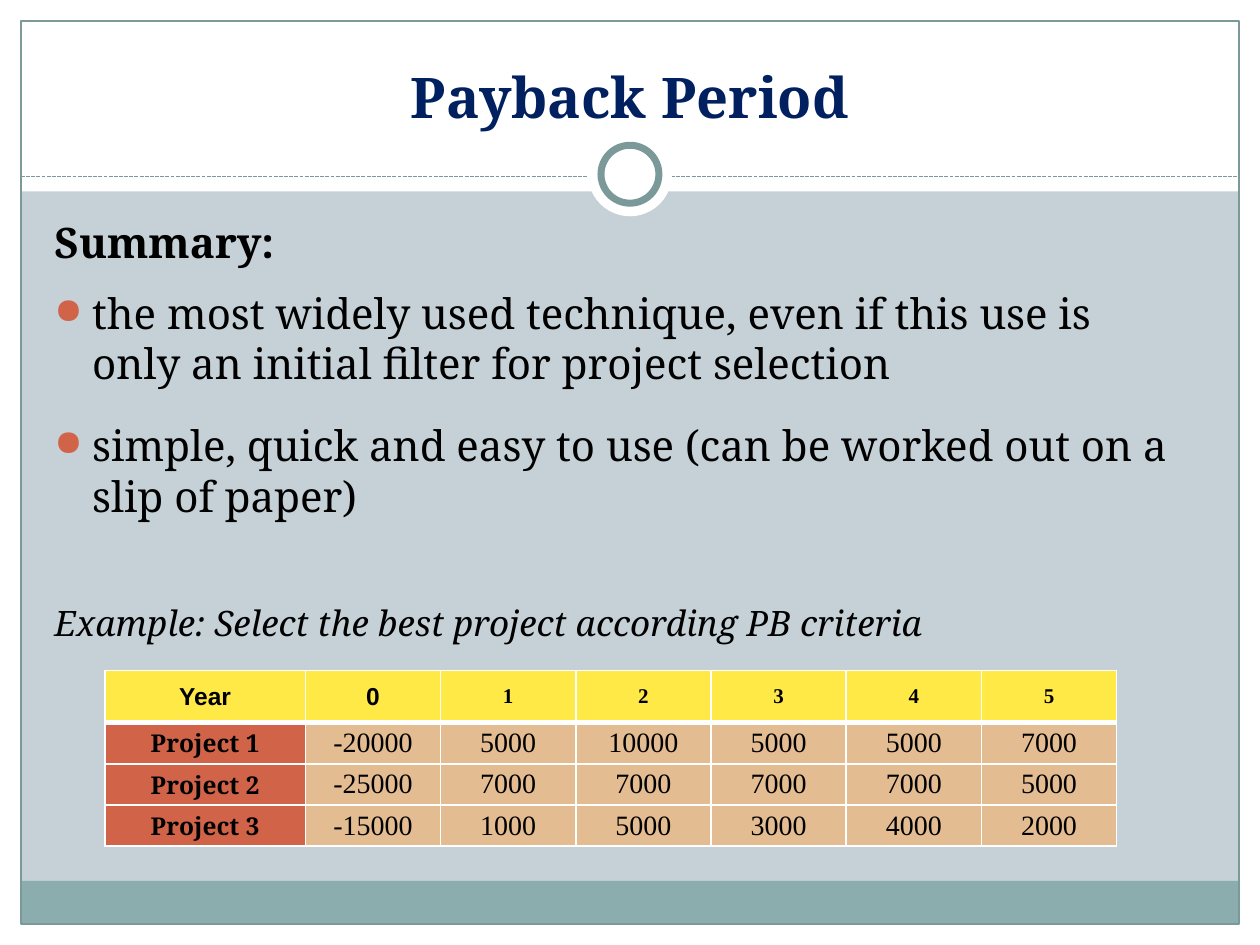
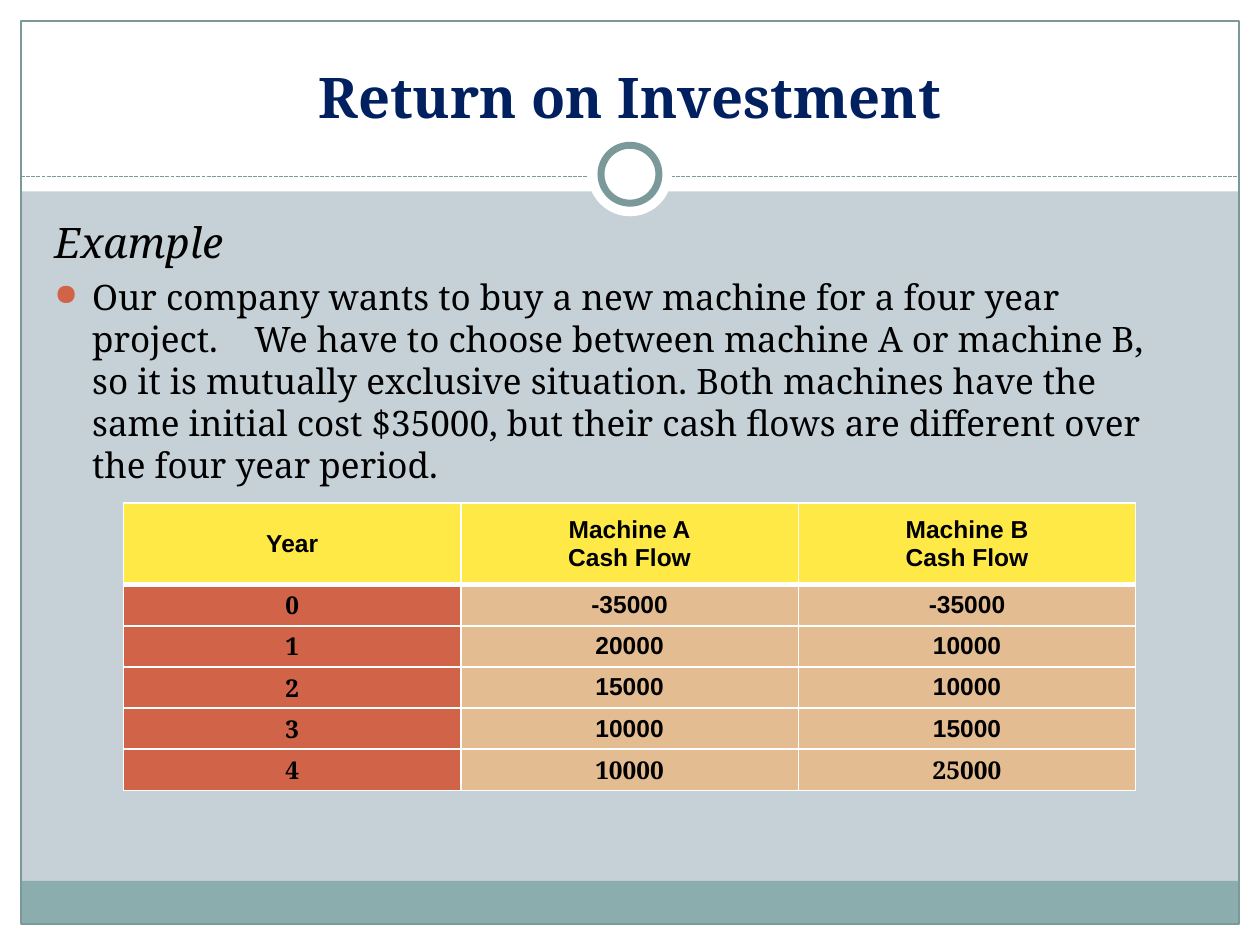
from lxml import etree
from pptx import Presentation
from pptx.dml.color import RGBColor
from pptx.enum.dml import MSO_LINE
from pptx.enum.shapes import MSO_CONNECTOR, MSO_SHAPE
from pptx.enum.text import MSO_ANCHOR, MSO_AUTO_SIZE, PP_ALIGN
from pptx.oxml.ns import qn
from pptx.util import Inches, Pt

RECT, OVAL = MSO_SHAPE.RECTANGLE, MSO_SHAPE.OVAL
STRAIGHT, DASH = MSO_CONNECTOR.STRAIGHT, MSO_LINE.SQUARE_DOT
CENTER, MIDDLE, BOTTOM = PP_ALIGN.CENTER, MSO_ANCHOR.MIDDLE, MSO_ANCHOR.BOTTOM
NO_FIT = MSO_AUTO_SIZE.NONE

COLORS = {
    "page": "C5D1D7", "white": "FFFFFF", "band": "8CADAE", "rule": "7C999A",
    "title": "002060", "text": "000000", "bullet": "D16349",
    "header": "FFE947", "label": "D16349", "value": "E3BC92",
}
SERIF, SANS, TIMES = "Noto Serif", "Arial", "Times New Roman"
COLS, ROWS = 60, 45
UNIT = Inches(10) // COLS
TITLE_BOX = (2, 1.5, 56, 5)
BODY_BOX = (2, 10, 55, 30)


def rgb(name):
    """Return the named palette colour."""
    return RGBColor.from_string(COLORS[name])


def grid(*cells):
    """Turn grid units into lengths."""
    return [int(c * UNIT) for c in cells]


def write(p, text, size=14, font=SERIF, color="text", bold=False, italic=False,
          align=None, before=0, after=0, leading=None, bullet=False):
    """Write formatted text into a paragraph."""
    r = p.add_run()
    r.text = text
    f = r.font
    f.size, f.name, f.bold, f.italic = Pt(size), font, bold, italic
    f.color.rgb = rgb(color)
    p.alignment = align
    p.space_before, p.space_after = Pt(before), Pt(after)
    if leading:
        p.line_spacing = Pt(size * leading)
    if bullet:
        add_bullet(p)


def add_bullet(p):
    """Give a paragraph a coloured round bullet with a hanging indent."""
    pPr = p._p.get_or_add_pPr()
    pPr.set("marL", str(Inches(0.3)))
    pPr.set("indent", str(-Inches(0.3)))
    clr = etree.SubElement(pPr, qn("a:buClr"))
    etree.SubElement(clr, qn("a:srgbClr"), val=COLORS["bullet"])
    etree.SubElement(pPr, qn("a:buSzPct"), val="85000")
    etree.SubElement(pPr, qn("a:buChar"), char="●")


def add_shape(slide, kind, box, fill=None, line=None, width=0.75):
    """Add a preset shape on the grid."""
    sp = slide.shapes.add_shape(kind, *grid(*box))
    sp.shadow.inherit = False
    if fill:
        sp.fill.solid()
        sp.fill.fore_color.rgb = rgb(fill)
    else:
        sp.fill.background()
    if line:
        sp.line.color.rgb = rgb(line)
        sp.line.width = Pt(width)
    else:
        sp.line.fill.background()
    return sp


def add_rule(slide, x1, x2, y):
    """Add the dashed rule under the title."""
    line = slide.shapes.add_connector(STRAIGHT, *grid(x1, y, x2, y))
    line.line.color.rgb = rgb("rule")
    line.line.width = Pt(0.75)
    line.line.dash_style = DASH
    etree.SubElement(line._element.spPr, qn("a:effectLst"))
    return line


def build_layout(prs, layout):
    """Put the shared background, margins, band and ring on the layout."""
    layout.background.fill.solid()
    layout.background.fill.fore_color.rgb = rgb("page")
    for ph in list(layout.placeholders)[1:]:
        ph._element.getparent().remove(ph._element)
    slide = prs.slides[0]
    margins = [(0, ROWS - 1, COLS, 1), (0, 0, COLS, 9.12),
               (0, 0, 1, ROWS), (COLS - 1, 0, 1, ROWS)]
    parts = [add_shape(slide, RECT, box, fill="white") for box in margins]
    parts += [
        add_shape(slide, RECT, (1, 41.95, COLS - 2, 2.05), fill="band"),
        add_shape(slide, RECT, (1, 1, COLS - 2, ROWS - 2), line="rule"),
        add_rule(slide, 1, COLS - 1, 8.4),
        add_shape(slide, OVAL, (28, 6.3, 4, 4), fill="white"),
        add_shape(slide, OVAL, (28.62, 6.92, 2.76, 2.76), "white", "rule", 4),
    ]
    for i, sp in enumerate(parts):
        layout.shapes._spTree.insert(2 + i, sp._element)


def add_title(slide, text, box):
    """Place and format the title placeholder."""
    sp = slide.shapes.title
    sp.left, sp.top, sp.width, sp.height = grid(*box)
    tf = sp.text_frame
    tf.vertical_anchor, tf.auto_size, tf.word_wrap = BOTTOM, NO_FIT, True
    write(tf.paragraphs[0], text, size=32, color="title", bold=True, align=CENTER)


def add_body(slide, paragraphs, box):
    """Add the body text from pairs of text and format."""
    tf = slide.shapes.add_textbox(*grid(*box)).text_frame
    tf.word_wrap = True
    for i, (text, look) in enumerate(paragraphs):
        p = tf.add_paragraph() if i else tf.paragraphs[0]
        write(p, text, leading=1.2, **look)


def set_borders(cell, top, bottom):
    """Draw white borders around a cell."""
    tcPr = cell._tc.get_or_add_tcPr()
    for side, width in (("L", 1), ("R", 1), ("T", top), ("B", bottom)):
        ln = etree.SubElement(tcPr, qn("a:ln" + side), w=str(Pt(width)))
        fill = etree.SubElement(ln, qn("a:solidFill"))
        etree.SubElement(fill, qn("a:srgbClr"), val=COLORS["white"])


def add_table(slide, data, look, left, top, widths, heights, inset):
    """Add a table with a header row and a label column."""
    box = grid(left, top, sum(widths), sum(heights))
    table = slide.shapes.add_table(len(data), len(data[0]), *box).table
    table.horz_banding = False
    for col, width in zip(table.columns, widths):
        col.width = int(width * UNIT)
    for row, height in zip(table.rows, heights):
        row.height = int(height * UNIT)
    for i, values in enumerate(data):
        for j, value in enumerate(values):
            cell = table.cell(i, j)
            set_borders(cell, 3 if i == 1 else 1, 1 if i else 3)
            cell.fill.solid()
            cell.fill.fore_color.rgb = rgb(
                "header" if i == 0 else "label" if j == 0 else "value")
            cell.vertical_anchor = MIDDLE
            cell.margin_left = cell.margin_right = Inches(inset)
            cell.margin_top = cell.margin_bottom = 0
            tf = cell.text_frame
            for k, text in enumerate(value.split("\n")):
                p = tf.add_paragraph() if k else tf.paragraphs[0]
                write(p, text, align=CENTER, **look(i, j))


def project_look(i, j):
    """Return the format of a cell in the project table."""
    if i == 0:
        return dict(font=SANS, bold=True) if j < 2 else dict(
            size=12, font=TIMES, bold=True)
    return dict(size=16, font=TIMES) if j else dict(bold=True)


def machine_look(i, j):
    """Return the format of a cell in the machine table."""
    serif = i == 5 or (i > 0 and j == 0)
    return dict(font=SERIF if serif else SANS, bold=True)


def payback_slide(slide):
    """Build the payback period summary."""
    add_title(slide, "Payback Period", TITLE_BOX)
    point = dict(size=24, before=12, after=6, bullet=True)
    add_body(slide, [
        ("Summary:", dict(size=24, bold=True)),
        ("the most widely used technique, even if this use is only an "
         "initial filter for project selection", point),
        ("simple, quick and easy to use (can be worked out on a slip of "
         "paper)", point),
        ("Example: Select the best project according PB criteria",
         dict(size=20, italic=True, before=40)),
    ], BODY_BOX)
    data = [
        ["Year", "0", "1", "2", "3", "4", "5"],
        ["Project 1", "-20000", "5000", "10000", "5000", "5000", "7000"],
        ["Project 2", "-25000", "7000", "7000", "7000", "7000", "5000"],
        ["Project 3", "-15000", "1000", "5000", "3000", "4000", "2000"],
    ]
    add_table(slide, data, project_look, 5, 31.92,
              [9.54] + [6.44] * 6, [2.5] + [1.96] * 3, 0.08)


def investment_slide(slide):
    """Build the return on investment example."""
    add_title(slide, "Return on Investment", TITLE_BOX)
    add_body(slide, [
        ("Example ", dict(size=24, italic=True)),
        ("Our company wants to buy a new machine for a four year project.    "
         "We have to choose between machine A or machine B, so it is mutually "
         "exclusive situation. Both machines have the same initial cost "
         "$35000, but their cash flows are different over the four year "
         "period.", dict(size=20, before=5, bullet=True)),
    ], BODY_BOX)
    data = [
        ["Year", "Machine A\nCash Flow", "Machine B\nCash Flow"],
        ["0", "-35000", "-35000"],
        ["1", "20000", "10000"],
        ["2", "15000", "10000"],
        ["3", "10000", "15000"],
        ["4", "10000", "25000"],
    ]
    add_table(slide, data, machine_look, 5.88, 23.94,
              [16.07] * 3, [3.9] + [1.96] * 5, 0.07)


def main():
    """Build and save the presentation."""
    prs = Presentation()
    prs.slide_width, prs.slide_height = COLS * UNIT, ROWS * UNIT
    layout = prs.slide_layouts[5]
    slides = [prs.slides.add_slide(layout) for _ in range(2)]
    build_layout(prs, layout)
    payback_slide(slides[0])
    investment_slide(slides[1])
    prs.save("out.pptx")


main()
